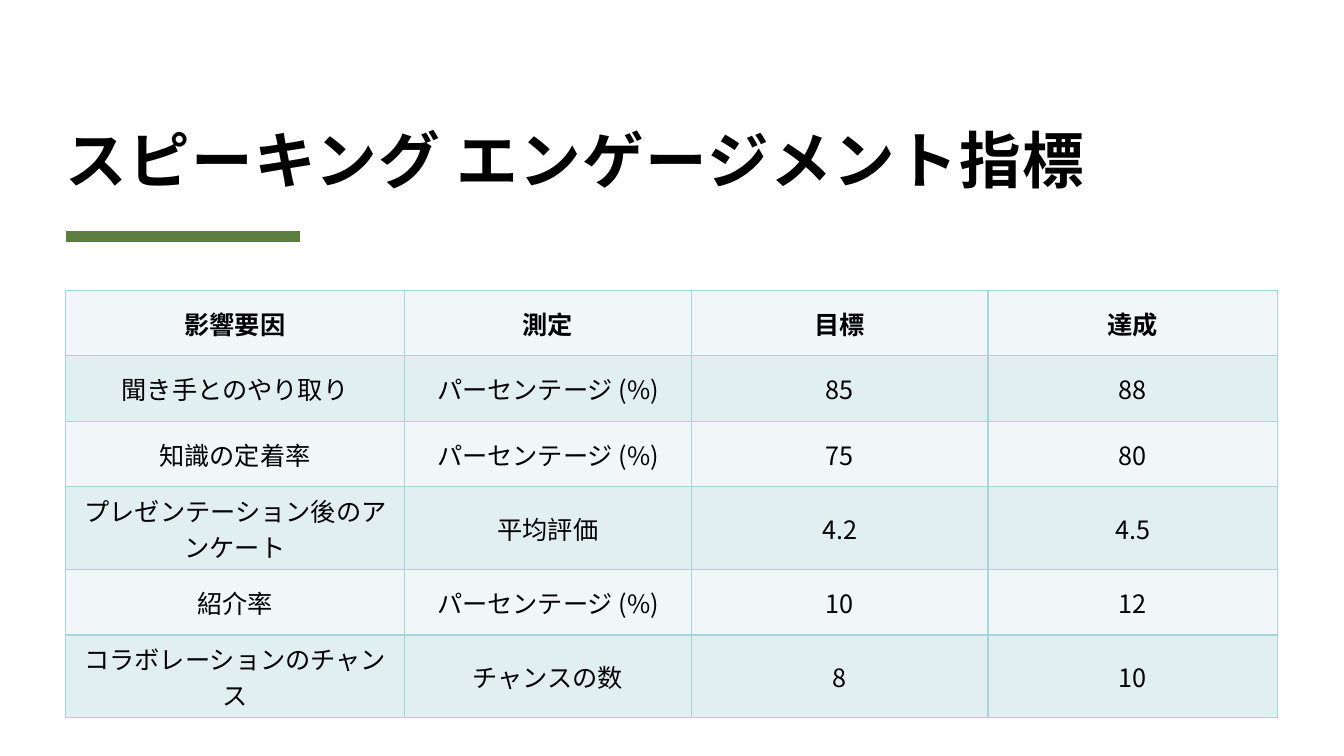
from lxml import etree
from pptx import Presentation
from pptx.dml.color import RGBColor
from pptx.enum.shapes import MSO_CONNECTOR
from pptx.enum.text import MSO_ANCHOR, PP_ALIGN
from pptx.oxml.ns import qn
from pptx.util import Inches, Pt

STRAIGHT = MSO_CONNECTOR.STRAIGHT
BOTTOM, MIDDLE = MSO_ANCHOR.BOTTOM, MSO_ANCHOR.MIDDLE
CENTER = PP_ALIGN.CENTER
BLACK = RGBColor(0x00, 0x00, 0x00)
GREEN = RGBColor(0x5D, 0x7D, 0x40)
BORDER = RGBColor(0xA9, 0xD4, 0xDB)
BANDS = (RGBColor(0xF1, 0xF7, 0xF8), RGBColor(0xE2, 0xEF, 0xF1))
FONT = "Noto Sans CJK JP"
LEFT = 0.65
COLS = (3.36, 2.85, 2.94, 2.87)
LOW, TALL = 0.65, 0.82
ROWS = (
    (LOW, ("影響要因", "測定", "目標", "達成")),
    (LOW, ("聞き手とのやり取り", "パーセンテージ (%)", "85", "88")),
    (LOW, ("知識の定着率", "パーセンテージ (%)", "75", "80")),
    (TALL, ("プレゼンテーション後のアンケート", "平均評価", "4.2", "4.5")),
    (LOW, ("紹介率", "パーセンテージ (%)", "10", "12")),
    (TALL, ("コラボレーションのチャンス", "チャンスの数", "8", "10")),
)


def add_run(para, text, size, bold):
    """Add a run in the slide font and return it."""
    run = para.add_run()
    run.text = text
    font = run.font
    font.size, font.bold, font.name = Pt(size), bold, FONT
    font.color.rgb = BLACK
    etree.SubElement(font._element, qn("a:ea"), typeface=FONT)
    return run


def add_title(slide, text):
    """Add the bold title, set on the bottom of its box."""
    box = slide.shapes.add_textbox(Inches(LEFT), Inches(0.64), Inches(12), Inches(1.3))
    frame = box.text_frame
    frame.word_wrap = True
    frame.vertical_anchor = BOTTOM
    frame.margin_left = frame.margin_right = 0
    frame.margin_top = frame.margin_bottom = 0
    para = frame.paragraphs[0]
    para.line_spacing = 0.8
    run = add_run(para, text, 44, True)
    run.font._element.set("spc", "100")


def add_rule(slide):
    """Add the thick green line under the title."""
    y = Inches(2.35)
    rule = slide.shapes.add_connector(STRAIGHT, Inches(LEFT), y, Inches(2.98), y)
    rule.line.color.rgb = GREEN
    rule.line.width = Pt(8)
    etree.SubElement(rule._element.spPr, qn("a:effectLst"))


def add_edges(cell):
    """Draw a thin line on all four sides of a cell."""
    props = cell._tc.get_or_add_tcPr()
    for side in "LRTB":
        line = etree.SubElement(props, qn(f"a:ln{side}"), w=str(Pt(1)))
        fill = etree.SubElement(line, qn("a:solidFill"))
        etree.SubElement(fill, qn("a:srgbClr"), val=str(BORDER))


def fill_cell(cell, text, band, bold):
    """Set the text, edges and fill of a cell."""
    cell.vertical_anchor = MIDDLE
    para = cell.text_frame.paragraphs[0]
    para.alignment = CENTER
    add_run(para, text, 18, bold)
    add_edges(cell)
    cell.fill.solid()
    cell.fill.fore_color.rgb = band


def add_grid(slide):
    """Add the table of metrics with banded rows."""
    total = sum(height for height, _ in ROWS)
    frame = slide.shapes.add_table(
        len(ROWS), len(COLS), Inches(LEFT), Inches(2.88),
        Inches(sum(COLS)), Inches(total))
    table = frame.table
    for col, width in zip(table.columns, COLS):
        col.width = Inches(width)
    for i, (height, texts) in enumerate(ROWS):
        table.rows[i].height = Inches(height)
        for j, text in enumerate(texts):
            fill_cell(table.cell(i, j), text, BANDS[i % 2], i == 0)


def main():
    """Build the slide and save it."""
    deck = Presentation()
    deck.slide_width, deck.slide_height = Inches(13.33), Inches(7.5)
    slide = deck.slides.add_slide(deck.slide_layouts[6])
    add_rule(slide)
    add_title(slide, "スピーキング エンゲージメント指標")
    add_grid(slide)
    deck.save("out.pptx")


if __name__ == "__main__":
    main()
